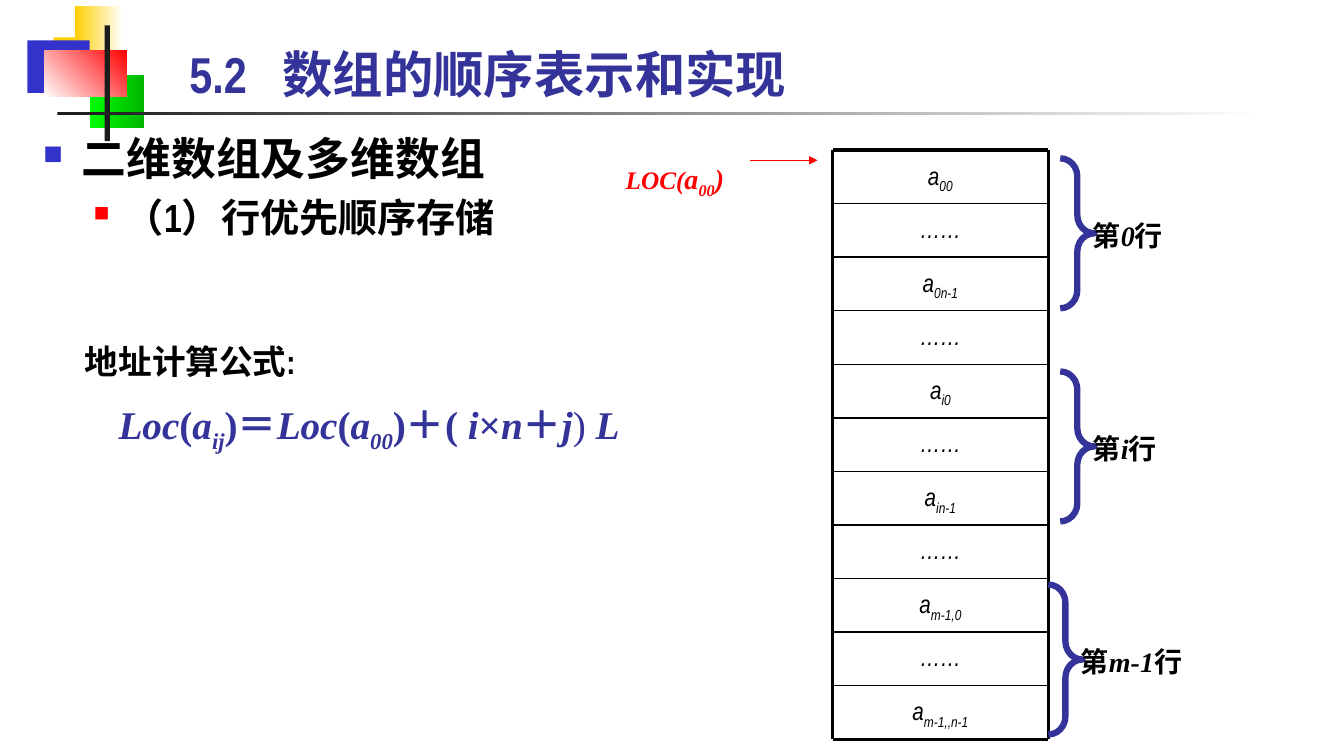
from lxml import etree
from pptx import Presentation, util as u
from pptx.dml import color
from pptx.enum import shapes, text
from pptx.oxml import ns

ink = color.RGBColor.from_string
deck = Presentation()
deck.slide_width, deck.slide_height = u.Cm(33.87), u.Cm(19.05)
slide = deck.slides.add_slide(deck.slide_layouts[5])
items = slide.shapes
NAVY, BLACK, RED = "333399", "000000", "FF0000"
NARROW, TIMES = "Arial Narrow", "Times New Roman"


def write(frame, face, *lines):
    frame.word_wrap = True
    for num, (runs, size, hue, form) in enumerate(lines):
        par = frame.add_paragraph() if num else frame.paragraphs[0]
        for key, val in form.items():
            setattr(par, key, val)
        for words, marks, *own in runs:
            run = par.add_run()
            run.text = words
            look = {"name": face, "size": u.Pt(own[0] if own else size),
                    "bold": "b" in marks, "italic": "i" in marks}
            for key, val in look.items():
                setattr(run.font, key, val)
            run.font.color.rgb = ink(hue)
            if "s" in marks:
                run._r.get_or_add_rPr().set("baseline", "-25000")


def rule(ends, hue, width):
    line = items.add_connector(shapes.MSO_CONNECTOR.STRAIGHT, *map(u.Cm, ends))
    line.line.color.rgb = ink(hue)
    line.line.width = u.Pt(width)
    etree.SubElement(line._element.spPr, ns.qn("a:effectLst"))
    return line


blocks = [
    ((1.35, 0.94, 1.63, 1.32), ["FFCF01"], 0),
    ((1.88, 0.15, 1.22, 1.32), ["FFCF01", "FFFFFF"], 0),
    ((0.69, 1.02, 1.57, 1.32), ["3333CC"], 0),
    ((2.26, 1.9, 1.37, 1.32), ["00FF00", "00B600"], 0),
    ((1.12, 1.27, 2.08, 1.17), ["FFFFFF", RED], 45),
    ((2.64, 0.64, 0.13, 2.92), ["1C1C1C"], 0),
    ((1.45, 2.82, 30.48, 0.08), ["1C1C1C", "FFFFFF"], 0),
]
for rect, hues, angle in blocks:
    block = items.add_shape(shapes.MSO_SHAPE.RECTANGLE, *map(u.Cm, rect))
    block.shadow.inherit = False
    block.line.fill.background()
    if len(hues) == 1:
        block.fill.solid()
        block.fill.fore_color.rgb = ink(hues[0])
    else:
        block.fill.gradient()
        block.fill.gradient_angle = angle
        for stop, hue in zip(block.fill.gradient_stops, hues):
            stop.color.rgb = ink(hue)

title = items.title
place = {"left": 4.52, "top": 0.64, "width": 28.85, "height": 2.11}
for key, val in place.items():
    setattr(title, key, u.Cm(val))
frame = title.text_frame
frame.auto_size = text.MSO_AUTO_SIZE.NONE
frame.vertical_anchor = text.MSO_ANCHOR.BOTTOM
write(frame, NARROW, ([("5.2\t数组的顺序表示和实现", "b")], 36, NAVY,
                      {"alignment": text.PP_ALIGN.LEFT}))
tabs = etree.SubElement(frame.paragraphs[0]._p.get_or_add_pPr(), ns.qn("a:tabLst"))
etree.SubElement(tabs, ns.qn("a:tab"), pos=str(u.Cm(2.34)), algn="l")

body = items.add_textbox(*map(u.Cm, (0.84, 3.18, 15, 3.2))).text_frame
write(body, NARROW,
      ([("二维数组及多维数组", "b")], 32, BLACK, {}),
      ([("（1）行优先顺序存储", "b")], 28, BLACK, {"level": 1, "space_before": u.Pt(6)}))
bullets = [(0.97, -0.97, "3333CC", 60), (2.06, -0.79, RED, 55)]
for par, (left, hang, hue, size) in zip(body.paragraphs, bullets):
    props = par._p.get_or_add_pPr()
    props.set("marL", str(u.Cm(left)))
    props.set("indent", str(u.Cm(hang)))
    tint = etree.SubElement(props, ns.qn("a:buClr"))
    etree.SubElement(tint, ns.qn("a:srgbClr"), val=hue)
    etree.SubElement(props, ns.qn("a:buSzPct"), val=str(size * 1000))
    etree.SubElement(props, ns.qn("a:buChar"), char="■")

intro = items.add_textbox(*map(u.Cm, (1.7, 8.46, 21.2, 3.05))).text_frame
write(intro, NARROW, ([("地址计算公式:", "b")], 24, BLACK, {}))
sums = [("Loc", "bi"), ("(", "b"), ("a", "bi"), ("ij", "bis"), (")＝", "b"),
        ("Loc", "bi"), ("(", "b"), ("a", "bi"), ("00", "bis"), (")＋( ", "b"),
        ("i", "bi"), ("×", "b"), ("n", "bi"), ("＋", "b"), ("j", "bi"),
        (") ", ""), ("L", "bi")]
par = intro.add_paragraph()
par.space_before = u.Pt(14)
for words, marks in sums:
    run = par.add_run()
    run.text = words
    look = {"name": TIMES, "size": u.Pt(28), "bold": "b" in marks, "italic": "i" in marks}
    for key, val in look.items():
        setattr(run.font, key, val)
    run.font.color.rgb = ink(NAVY)
    if "s" in marks:
        run._r.get_or_add_rPr().set("baseline", "-25000")
for par, left in zip(intro.paragraphs, (0.19, 1.04)):
    par._p.get_or_add_pPr().set("marL", str(u.Cm(left)))

LEFT, RIGHT, TOP, STEP = 20.98, 26.42, 3.78, 1.35
cells = ["00", "", "0n-1", "", "i0", "", "in-1", "", "m-1,0", "", "m-1,,n-1"]
END = TOP + STEP * len(cells)
for row, sub in enumerate(cells):
    rect = LEFT, TOP + STEP * row, RIGHT - LEFT, STEP
    cell = items.add_textbox(*map(u.Cm, rect)).text_frame
    runs = [("a", "i"), (sub, "is")] if sub else [("……", "i")]
    write(cell, NARROW, (runs, 18, BLACK, {"alignment": text.PP_ALIGN.CENTER,
                                           "line_spacing": 1.15}))
for row in range(len(cells) + 1):
    y = TOP + STEP * row
    rule((LEFT, y, RIGHT, y), BLACK, 1 if 0 < row < len(cells) else 2.25)
for x in (LEFT, RIGHT):
    rule((x, TOP, x, END), BLACK, 2.25)

for num, (name, x) in enumerate([("0", 26.72), ("i", 26.72), ("m-1", 26.42)]):
    y = 3.99 + 5.37 * num
    brace = items.add_shape(shapes.MSO_SHAPE.RIGHT_BRACE, *map(u.Cm, (x, y, 0.86, 3.78)))
    brace.shadow.inherit = False
    brace.fill.background()
    brace.line.color.rgb = ink(NAVY)
    brace.line.width = u.Pt(4.5)
    brace.adjustments[0] = 0.53
    label = items.add_textbox(*map(u.Cm, (x + 0.57, y + 1.39, 5.16, 1.1))).text_frame
    write(label, TIMES, ([("第", "b"), (name, "bi"), ("行", "b")], 20, BLACK, {}))

start = items.add_textbox(*map(u.Cm, (15.52, 3.94, 4.88, 1.04))).text_frame
write(start, TIMES, ([("LOC(", "bi", 18), ("a", "bi"), ("00", "bis"), (")", "bi")],
                     20, RED, {}))
arrow = rule((18.9, 4.04, 20.6, 4.04), RED, 0.75)
etree.SubElement(arrow.line._get_or_add_ln(), ns.qn("a:tailEnd"), type="triangle")

deck.save("out.pptx")
